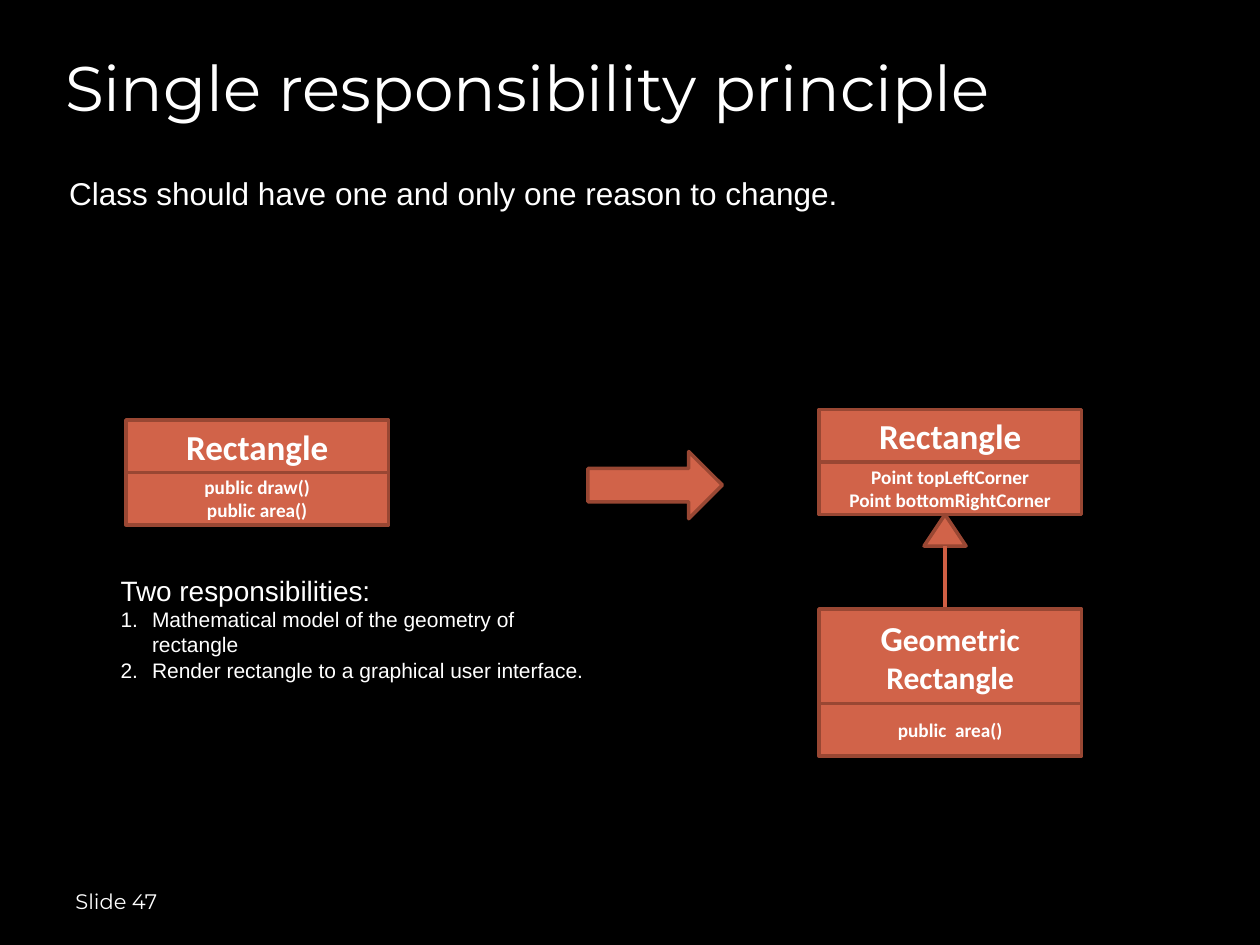
import lxml.etree
import pptx
import pptx.dml.color
import pptx.enum.shapes
import pptx.enum.text
import pptx.oxml.ns
import pptx.util

RGB = pptx.dml.color.RGBColor
SHAPE = pptx.enum.shapes.MSO_SHAPE
ALIGN = pptx.enum.text.PP_ALIGN
ANCHOR = pptx.enum.text.MSO_ANCHOR

BLACK = RGB(0x00, 0x00, 0x00)
WHITE = RGB(0xFF, 0xFF, 0xFF)
RUST = RGB(0xD1, 0x63, 0x49)
BROWN = RGB(0x99, 0x47, 0x33)
LINK = RGB(0xD0, 0x5F, 0x44)
SCALE = 7620
ROW = 50


def px(*nums):
    """Turn px lengths into EMU."""
    return [pptx.util.Emu(num * SCALE) for num in nums]


def add_node(props, tag, **attrs):
    """Append one XML element to a set of properties."""
    lxml.etree.SubElement(props, pptx.oxml.ns.qn(tag), attrs)


def add_run(para, text, size, font, bold=False):
    """Add one white run to a paragraph."""
    run = para.add_run()
    run.text = text
    run.font.size = pptx.util.Pt(size)
    run.font.name = font
    run.font.bold = bold
    run.font.color.rgb = WHITE


def add_text(slide, box, text, size, font, anchor=ANCHOR.TOP):
    """Add a text box with one line and return its frame."""
    frame = slide.shapes.add_textbox(*px(*box)).text_frame
    frame.word_wrap = True
    frame.vertical_anchor = anchor
    add_run(frame.paragraphs[0], text, size, font)
    return frame


def add_title(slide, box, text):
    """Place and format the slide title."""
    title = slide.shapes.title
    title.left, title.top, title.width, title.height = px(*box)
    frame = title.text_frame
    frame.vertical_anchor = ANCHOR.MIDDLE
    para = frame.paragraphs[0]
    para.alignment = ALIGN.LEFT
    add_run(para, text, 36, "Montserrat")


def add_block(slide, kind, box):
    """Add a rust shape with a brown outline."""
    shape = slide.shapes.add_shape(kind, *px(*box))
    shape.shadow.inherit = False
    shape.fill.solid()
    shape.fill.fore_color.rgb = RUST
    shape.line.color.rgb = BROWN
    shape.line.width = pptx.util.Pt(2)
    return shape


def add_cell(slide, box, lines):
    """Add one class compartment, each line a list of sized runs."""
    frame = add_block(slide, SHAPE.RECTANGLE, box).text_frame
    frame.word_wrap = True
    frame.vertical_anchor = ANCHOR.MIDDLE
    for num, line in enumerate(lines):
        para = frame.add_paragraph() if num else frame.paragraphs[0]
        para.alignment = ALIGN.CENTER
        for text, size in line:
            add_run(para, text, size, "Calibri", True)


def add_class(slide, box, name, members):
    """Add a class box with its name above its members."""
    left, top, width, height = box
    head = height - ROW
    add_cell(slide, (left, top, width, head), [name])
    lines = [[(text, 11)] for text in members]
    add_cell(slide, (left, top + head, width, ROW), lines)


def add_link(slide, box):
    """Add an inheritance arrow with its tip at the top of the box."""
    left, top, width, height = box
    tip = 30
    add_block(slide, SHAPE.ISOSCELES_TRIANGLE, (left, top, width, tip))
    mid = left + width // 2
    ends = px(mid, top + tip, mid, top + height)
    line = slide.shapes.add_connector(
        pptx.enum.shapes.MSO_CONNECTOR.STRAIGHT, *ends)
    line.line.color.rgb = LINK
    line.line.width = pptx.util.Pt(2.25)
    add_node(line._element.spPr, "a:effectLst")


def add_list(slide, box, head, items):
    """Add a heading with numbered items."""
    frame = add_text(slide, box, head, 16, "Arial")
    indent = px(30)[0]
    for text in items:
        para = frame.add_paragraph()
        props = para._p.get_or_add_pPr()
        props.set("marL", str(indent))
        props.set("indent", str(-indent))
        add_node(props, "a:buAutoNum", type="arabicPeriod")
        add_run(para, text, 12, "Arial")


def main():
    """Build the slide and save it."""
    deck = pptx.Presentation()
    deck.slide_width, deck.slide_height = px(1200, 900)
    slide = deck.slides.add_slide(deck.slide_layouts[5])
    slide.background.fill.solid()
    slide.background.fill.fore_color.rgb = BLACK

    add_title(slide, (50, 40, 1080, 84), "Single responsibility principle")
    add_text(slide, (60, 834, 280, 48), "Slide 47", 12, "Montserrat",
             ANCHOR.MIDDLE)
    add_text(slide, (54, 160, 756, 48),
             "Class should have one and only one reason to change.",
             18, "Arial")
    add_class(slide, (120, 400, 250, 100), [("Rectangle", 20)],
              ["public draw()", "public area()"])
    add_list(slide, (103, 540, 474, 92), "Two responsibilities:",
             ["Mathematical model of the geometry of rectangle",
              "Render rectangle to a graphical user interface."])
    add_class(slide, (780, 390, 250, 100), [("Rectangle", 20)],
              ["Point topLeftCorner", "Point bottomRightCorner"])
    add_link(slide, (880, 490, 40, 150))
    add_class(slide, (780, 580, 250, 140),
              [("G", 20), ("eometric Rectangle", 18)],
              ["public  area()"])
    add_block(slide, SHAPE.RIGHT_ARROW, (560, 430, 128, 64))
    deck.save("out.pptx")


if __name__ == "__main__":
    main()
